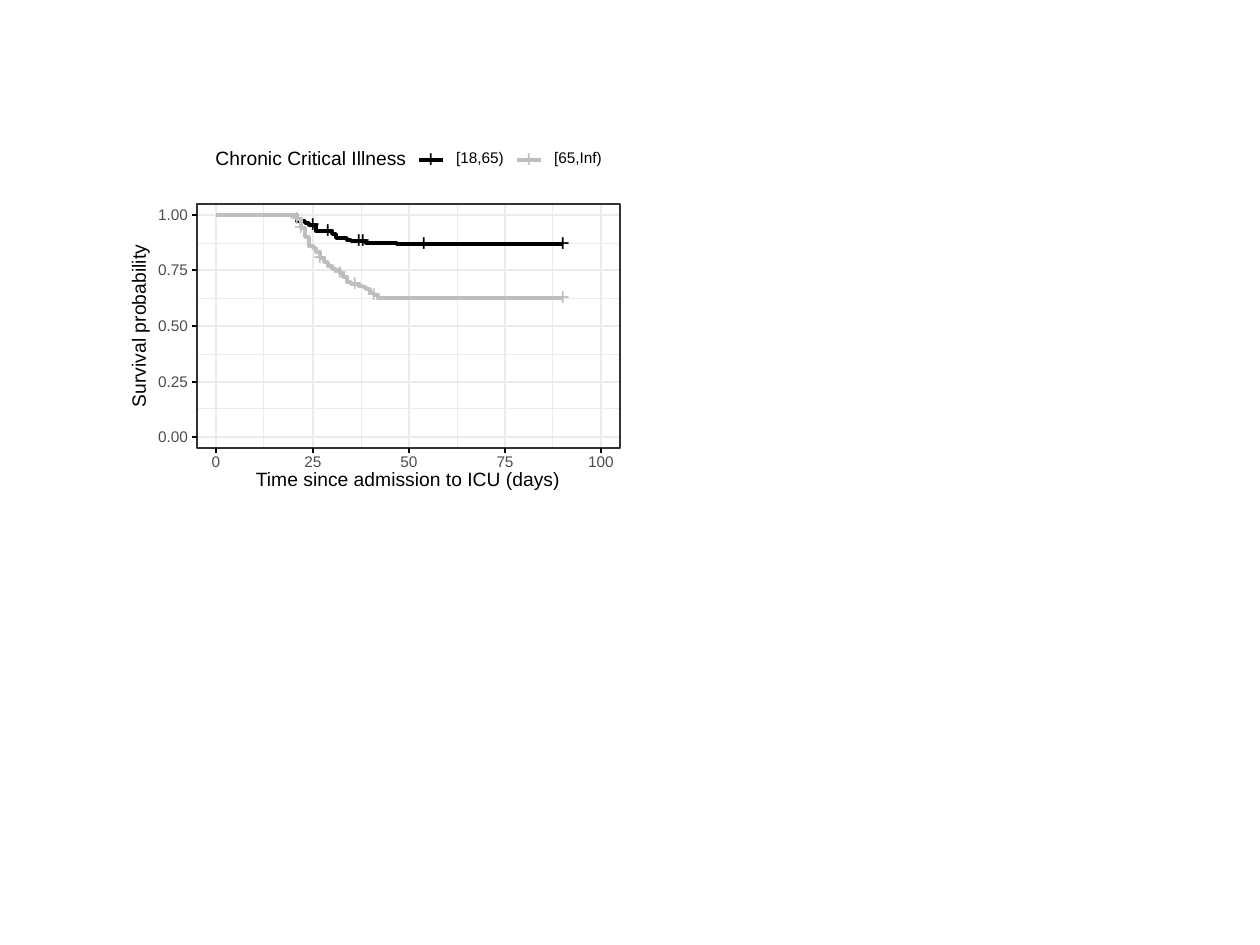
from lxml import etree
from pptx import Presentation
from pptx.dml.color import RGBColor
from pptx.enum.shapes import MSO_CONNECTOR as Connector, MSO_SHAPE as Shape
from pptx.enum.text import MSO_ANCHOR as Anchor, PP_ALIGN as Align
from pptx.oxml.ns import qn
from pptx.util import Emu, Inches, Pt

SCALE = Inches(1) / 126
COLOURS = {"young": "000000", "old": "BEBEBE", "grid": "EBEBEB",
           "frame": "333333", "tick": "4D4D4D", "ink": "000000"}
LEFT, TOP, WIDTH, HEIGHT = 197, 204, 423, 244
DAYS = (0, 25, 50, 75, 100)
SHARES = (0, 0.25, 0.5, 0.75, 1)

# Survival in percent after each day on which it falls, and censored days
GROUPS = [
    {"name": "[18,65)", "colour": "young", "censored": (25, 29, 37, 38, 54, 90),
     "steps": {0: 100, 21: 97.2, 23: 96.5, 24: 95.3, 26: 93, 28: 92.6, 30: 91.5,
               31: 89.5, 34: 88.9, 35: 88.3, 39: 87.4, 47: 86.8, 90: 86.8}},
    {"name": "[65,Inf)", "colour": "old", "censored": (21, 22, 27, 32, 36, 41, 90),
     "steps": {0: 100, 21: 98, 22: 94, 23: 90, 24: 86, 25: 85, 26: 83.5,
               27: 80.5, 28: 79, 29: 77, 30: 75.5, 31: 75, 32: 74,
               33: 72, 34: 70, 35: 69, 37: 68, 38: 67.5, 39: 66.5, 40: 65,
               41: 64, 42: 62.5, 90: 62.5}},
]


def px(length):
    """Turn pixels into EMU."""
    return Emu(round(length * SCALE))


def day_x(day):
    """Horizontal pixel of a day."""
    return round(216.3 + 3.85 * day)


def share_y(share):
    """Vertical pixel of a survival probability."""
    return round(437 - 222 * share)


def colour(name):
    """Look up a colour by its role."""
    return RGBColor.from_string(COLOURS[name])


def set_values(target, values):
    """Set attributes from a dict."""
    for name, value in values.items():
        setattr(target, name, value)


def add_line(page, x1, y1, x2, y2, name, width=1.07):
    """Draw a straight line without shadow."""
    line = page.shapes.add_connector(
        Connector.STRAIGHT, px(x1), px(y1), px(x2), px(y2))
    line.line.color.rgb = colour(name)
    line.line.width = Pt(width)
    etree.SubElement(line._element.spPr, qn("a:effectLst"))


def style_outline(shape, name, width):
    """Give a shape an outline only."""
    shape.shadow.inherit = False
    shape.fill.background()
    shape.line.color.rgb = colour(name)
    shape.line.width = Pt(width)


def add_label(page, text, x, y, width, height, size, name="ink", rotation=0):
    """Put one line of text around a centre point."""
    box = page.shapes.add_textbox(
        px(x - width / 2), px(y - height / 2), px(width), px(height))
    box.rotation = rotation
    set_values(box.text_frame, {
        "margin_left": 0, "margin_right": 0, "margin_top": 0,
        "margin_bottom": 0, "word_wrap": False, "vertical_anchor": Anchor.MIDDLE})
    para = box.text_frame.paragraphs[0]
    set_values(para, {"alignment": Align.CENTER, "line_spacing": Pt(size)})
    span = para.add_run()
    span.text = text
    set_values(span.font, {"name": "Arial", "size": Pt(size)})
    span.font.color.rgb = colour(name)


def add_mark(page, x, y, name):
    """Put a censoring mark at a point."""
    add_label(page, "+", x, y, 14, 13, 13.7, name)


def survival_at(steps, day):
    """Survival that holds on a day."""
    return steps[max(start for start in steps if start <= day)] / 100


def add_grid(page):
    """Draw the minor lines, then the major ones."""
    minor_shares = [share + 0.125 for share in SHARES[:-1]]
    minor_days = [day + 12.5 for day in DAYS[:-1]]
    for shares, days, width in ((minor_shares, minor_days, 0.53),
                                (SHARES, DAYS, 1.07)):
        for share in shares:
            y = share_y(share)
            add_line(page, LEFT, y, LEFT + WIDTH, y, "grid", width)
        for day in days:
            x = day_x(day)
            add_line(page, x, TOP + HEIGHT, x, TOP, "grid", width)


def add_curves(page):
    """Draw the survival of both groups as stepped outlines."""
    for group in GROUPS:
        last_y = share_y(1)
        corners = []
        for day, percent in group["steps"].items():
            x, y = day_x(day), share_y(percent / 100)
            corners += [(x, last_y), (x, y)]
            last_y = y
        builder = page.shapes.build_freeform(*corners[0], scale=SCALE)
        builder.add_line_segments(corners[1:], close=False)
        style_outline(builder.convert_to_shape(), group["colour"], 2.13)


def add_censoring(page):
    """Mark the censored patients on both curves."""
    for group in GROUPS:
        for day in group["censored"]:
            y = share_y(survival_at(group["steps"], day))
            add_mark(page, day_x(day), y, group["colour"])


def add_axes(page):
    """Draw the frame, ticks, tick labels and axis titles."""
    frame = page.shapes.add_shape(
        Shape.RECTANGLE, px(LEFT), px(TOP), px(WIDTH), px(HEIGHT))
    style_outline(frame, "frame", 1.07)
    for share in SHARES:
        y = share_y(share)
        add_line(page, LEFT - 5, y, LEFT, y, "ink")
        add_label(page, f"{share:.2f}", 173, y + 1, 34, 11, 8.8, "tick")
    bottom = TOP + HEIGHT
    for day in DAYS:
        x = day_x(day)
        add_line(page, x, bottom + 5, x, bottom, "ink")
        add_label(page, str(day), x, 463, 10 * len(str(day)), 11, 8.8, "tick")
    add_label(page, "Time since admission to ICU (days)", 408, 481, 312, 19, 11)
    add_label(page, "Survival probability", 140, 326, 170, 19, 11, rotation=270)


def add_legend(page):
    """Write the legend title and one key for each group."""
    add_label(page, "Chronic Critical Illness", 311, 160, 198, 15, 11)
    for index, group in enumerate(GROUPS):
        x = 431 + 98 * index
        add_line(page, x - 12, 160, x + 12, 160, group["colour"], 2.13)
        add_mark(page, x, 160, group["colour"])
        add_label(page, group["name"], x + 49, 159, 52, 14, 8.8)


def main():
    """Build the slide and save it."""
    deck = Presentation()
    set_values(deck, {"slide_width": Inches(10), "slide_height": Inches(7.5)})
    page = deck.slides.add_slide(deck.slide_layouts[6])
    for add_part in (add_grid, add_curves, add_censoring, add_axes, add_legend):
        add_part(page)
    deck.save("out.pptx")


main()
